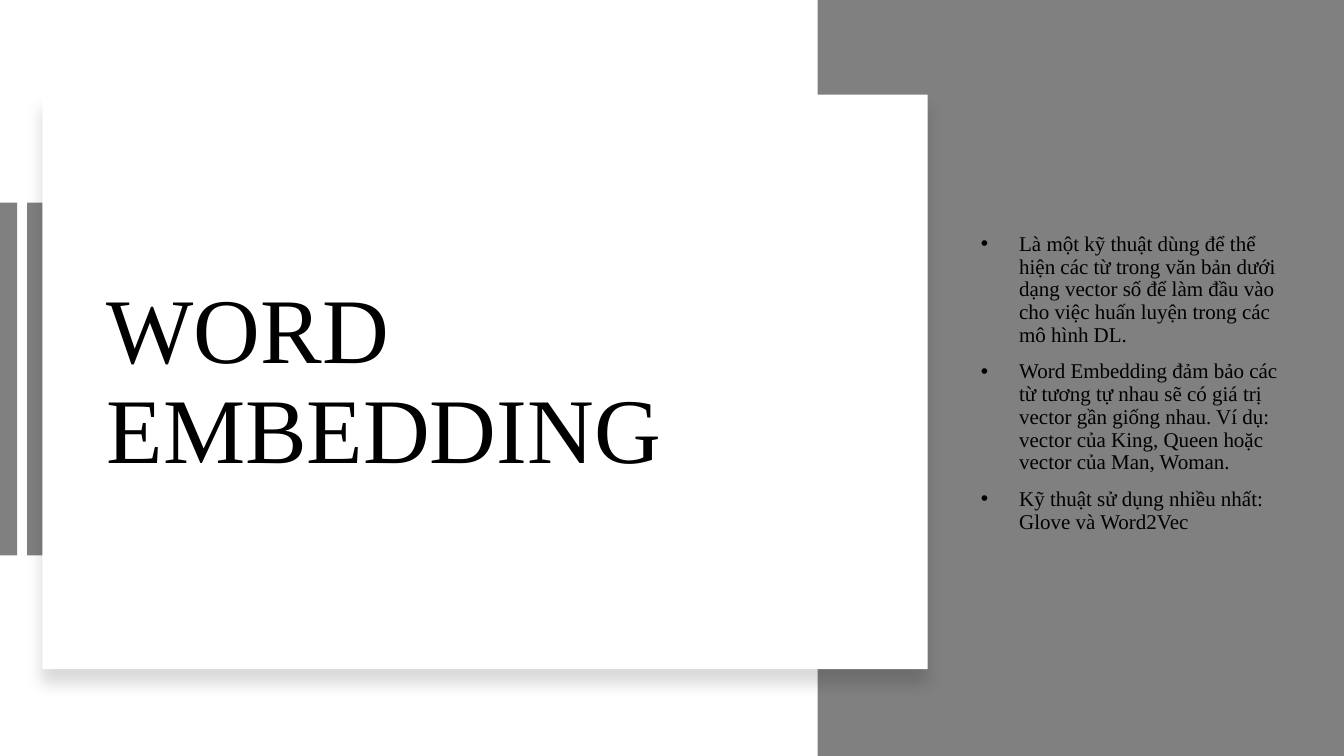
from dataclasses import dataclass

from lxml.etree import SubElement
from pptx import Presentation
from pptx.dml.color import RGBColor
from pptx.enum.shapes import MSO_SHAPE
from pptx.enum.text import MSO_ANCHOR, PP_ALIGN
from pptx.oxml.ns import qn
from pptx.shapes.autoshape import Shape
from pptx.slide import Slide
from pptx.util import Inches, Pt

GRAY, WHITE, BLACK = "808080", "FFFFFF", "000000"
BULLET_INDENT = Inches(0.38)


@dataclass
class Block:
    left: float
    top: float
    width: float
    height: float
    fill: str = GRAY
    shadow: bool = False


@dataclass
class TextArea:
    left: float
    top: float
    width: float
    height: float
    size: int
    paragraphs: list[str]
    space_before: int = 0
    bullets: bool = False


BLOCKS = [
    Block(0.27, 2.01, 0.17, 3.5),
    Block(8.11, 0, 5.22, 7.5),
    Block(0.42, 0.94, 8.78, 5.7, WHITE, shadow=True),
    Block(0, 2.01, 0.17, 3.5),
]

TITLE = TextArea(0.96, 1.61, 7.77, 4.39, 66, ["WORD\vEMBEDDING"])
POINTS = TextArea(9.63, 2.02, 3.28, 3.57, 15, [
    "Là một kỹ thuật dùng để thể hiện các từ trong văn bản dưới dạng vector số "
    "để làm đầu vào cho việc huấn luyện trong các mô hình DL.",
    "Word Embedding đảm bảo các từ tương tự nhau sẽ có giá trị vector gần giống nhau. "
    "Ví dụ: vector của King, Queen hoặc vector của Man, Woman.",
    "Kỹ thuật sử dụng nhiều nhất: Glove và Word2Vec",
], space_before=10, bullets=True)


def color(value: str) -> RGBColor:
    return RGBColor.from_string(value)


def set_format(target: object, values: dict[str, object]) -> None:
    for name, value in values.items():
        setattr(target, name, value)


def add_shadow(shape: Shape) -> None:
    effects = shape.element.spPr.find(qn("a:effectLst"))
    shadow = SubElement(effects, qn("a:outerShdw"), blurRad=str(Pt(11)), dist=str(Pt(10)),
                        dir="5400000", algn="t", rotWithShape="0")
    tint = SubElement(shadow, qn("a:srgbClr"), val=BLACK)
    SubElement(tint, qn("a:alpha"), val="15000")


def add_block(page: Slide, block: Block) -> None:
    shape = page.shapes.add_shape(
        MSO_SHAPE.RECTANGLE, Inches(block.left), Inches(block.top),
        Inches(block.width), Inches(block.height))
    shape.fill.solid()
    shape.fill.fore_color.rgb = color(block.fill)
    shape.line.fill.background()
    shape.shadow.inherit = False
    if block.shadow:
        add_shadow(shape)


def add_text(page: Slide, area: TextArea) -> None:
    box = page.shapes.add_textbox(
        Inches(area.left), Inches(area.top), Inches(area.width), Inches(area.height))
    frame = box.text_frame
    set_format(frame, {"word_wrap": True, "vertical_anchor": MSO_ANCHOR.MIDDLE})
    for index, text in enumerate(area.paragraphs):
        para = frame.add_paragraph() if index else frame.paragraphs[0]
        para.text = text
        set_format(para, {"alignment": PP_ALIGN.LEFT, "line_spacing": 0.9,
                          "space_before": Pt(area.space_before)})
        for span in para.runs:
            set_format(span.font, {"name": "Times New Roman", "size": Pt(area.size)})
            span.font.color.rgb = color(BLACK)
        if area.bullets:
            properties = para._p.get_or_add_pPr()
            properties.set("marL", str(BULLET_INDENT))
            properties.set("indent", str(-BULLET_INDENT))
            SubElement(properties, qn("a:buFont"), typeface="Arial")
            SubElement(properties, qn("a:buChar"), char="•")


def main() -> None:
    deck = Presentation()
    set_format(deck, {"slide_width": Inches(13.33), "slide_height": Inches(7.5)})
    page = deck.slides.add_slide(deck.slide_layouts[6])

    # Side panel, accent bars and title card
    for block in BLOCKS:
        add_block(page, block)

    # Title and bullet points
    for area in (TITLE, POINTS):
        add_text(page, area)

    deck.save("out.pptx")


if __name__ == "__main__":
    main()
